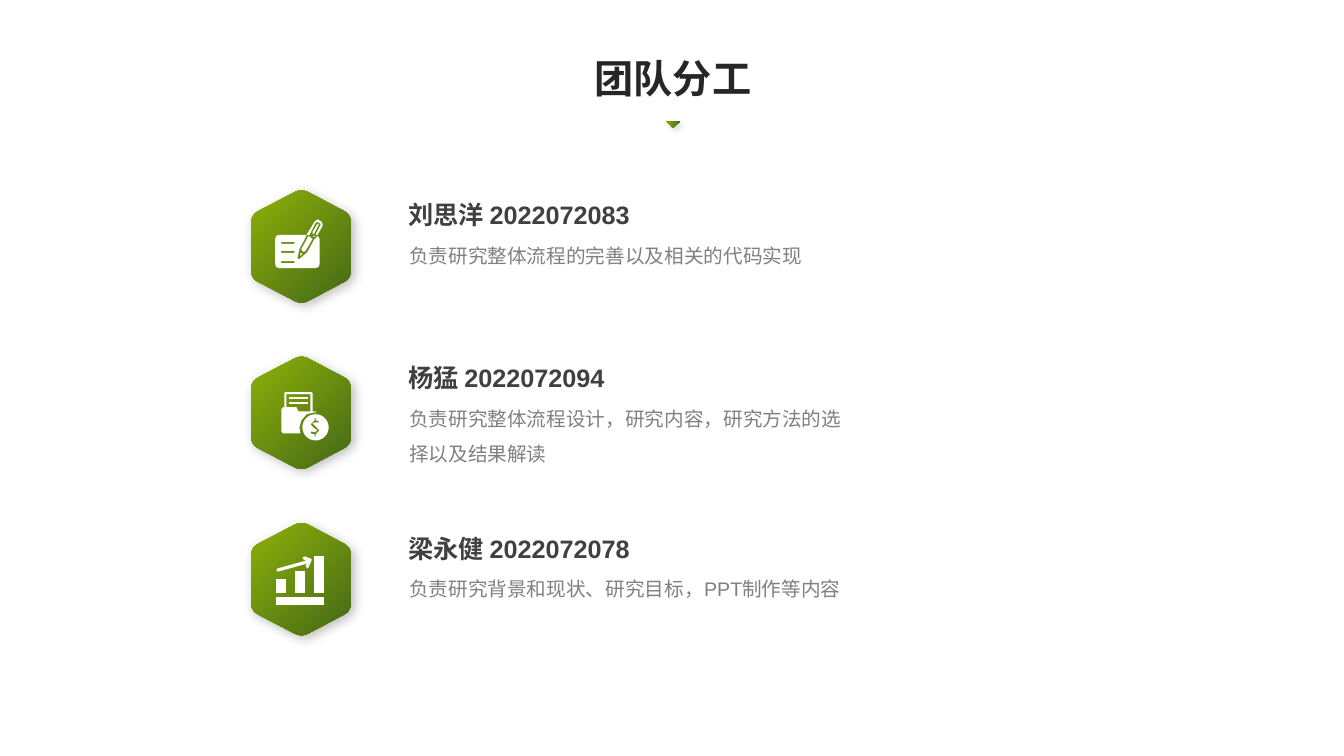
from dataclasses import dataclass
from math import cos, pi, sin

from lxml.etree import SubElement
from pptx import Presentation
from pptx.dml.color import RGBColor
from pptx.enum.shapes import MSO_SHAPE
from pptx.enum.text import MSO_ANCHOR, MSO_AUTO_SIZE, PP_ALIGN
from pptx.oxml.ns import qn
from pptx.util import Emu, Pt

EMU_PER_PX = 9144


@dataclass(frozen=True)
class Theme:
    font: str = "Arial"
    heading: str = "262626"
    name: str = "404040"
    duty: str = "808080"
    icon: str = "FFFFFF"
    leaf: str = "8DB108"
    forest: str = "456818"
    heading_size: int = 28
    name_size: int = 18
    duty_size: int = 14


THEME = Theme()

PAPER = [(66, 45), (63, 49), (63, 48), (56, 61), (55, 62), (48, 68), (47, 68),
         (46, 67), (48, 59), (48, 58), (55, 45), (55, 44), (28, 44), (25, 45),
         (24, 48), (24, 73), (25, 76), (28, 77), (64, 77), (67, 76), (68, 73),
         (68, 48)]
PENCIL_END = [(71, 33), (70, 31), (67, 29), (65, 29), (63, 31), (55, 44), (58, 44),
              (64, 32), (66, 31), (69, 33), (69, 34), (64, 44), (66, 44), (71, 35)]
PENCIL_SLOT = [(62, 43), (63, 42), (67, 34), (67, 33), (66, 33), (61, 41), (61, 43)]
PENCIL_SHAFT = [(50, 58), (50, 59), (51, 60), (52, 61), (54, 60), (61, 48), (57, 45)]
PENCIL_NIB = [(49, 62), (49, 65), (51, 63), (50, 62)]
PENCIL_BAND = [(61, 45), (63, 46), (64, 45)]
FOLDER = [(63, 55), (64, 56), (64, 54), (61, 54), (61, 36), (60, 35), (34, 35),
          (33, 36), (33, 50), (32, 50), (30, 52), (30, 74), (32, 76), (49, 76),
          (48, 70), (50, 63), (55, 57)]
FOLDER_SHEET = [(46, 52), (45, 50), (35, 50), (35, 37), (59, 37), (59, 54), (47, 54)]
DOLLAR = [(64, 77), (64, 79), (63, 79), (63, 77), (59, 76), (60, 74), (63, 75),
          (66, 73), (63, 71), (59, 67), (63, 63), (63, 61), (64, 61), (64, 63),
          (67, 64), (67, 65), (64, 65), (61, 66), (64, 69), (68, 73)]
TREND_ARROW = [(27, 48), (56, 40), (54, 42), (55, 44), (56, 45), (57, 44), (60, 37),
               (60, 36), (59, 35), (53, 33), (51, 34), (52, 36), (55, 37), (26, 45),
               (25, 47)]
HEXAGON = [(50, -2), (99, 24), (99, 87), (50, 113), (0, 87), (0, 24)]


def px(length):
    return Emu(round(length * EMU_PER_PX))


def box_px(left, top, width, height):
    return px(left), px(top), px(width), px(height)


def rectangle(left, top, width, height):
    right, bottom = left + width, top + height
    return [(left, top), (right, top), (right, bottom), (left, bottom)]


def circle(center_x, center_y, radius, steps=48):
    turns = [2 * pi * step / steps for step in range(steps)]
    return [(center_x + radius * cos(a), center_y + radius * sin(a)) for a in turns]


def round_corners(corners, reach, steps=8):
    def toward(start, end):
        dx, dy = end[0] - start[0], end[1] - start[1]
        share = reach / (dx * dx + dy * dy) ** 0.5
        return start[0] + dx * share, start[1] + dy * share

    points = []
    for index, corner in enumerate(corners):
        entry = toward(corner, corners[index - 1])
        leave = toward(corner, corners[(index + 1) % len(corners)])
        for t in (step / steps for step in range(steps + 1)):
            points.append(tuple((1 - t) ** 2 * a + 2 * t * (1 - t) * b + t * t * c
                                for a, b, c in zip(entry, corner, leave)))
    return points


def outline(shapes, left, top, *contours):
    moved = [[(px(left + x), px(top + y)) for x, y in contour] for contour in contours]
    builder = shapes.build_freeform(*moved[0][0], scale=1.0)
    for index, contour in enumerate(moved):
        if index:
            builder.move_to(*contour[0])
        builder.add_line_segments(contour[1:], close=True)
    shape = builder.convert_to_shape()
    shape.shadow.inherit = False
    shape.line.fill.background()
    return shape


def paint_green(shape, angle, opacity, blur):
    shape.fill.gradient()
    shape.fill.gradient_angle = angle
    for stop, color, position in zip(shape.fill.gradient_stops,
                                     (THEME.leaf, THEME.forest), (0, 1)):
        stop.color.rgb = RGBColor.from_string(color)
        stop.position = position
    shape.line.fill.background()
    shape.shadow.inherit = False
    effects = shape._element.spPr.find(qn("a:effectLst"))
    shadow = SubElement(effects, qn("a:outerShdw"), blurRad=str(Pt(blur)),
                        dist=str(Pt(3)), dir="2700000", algn="tl", rotWithShape="0")
    black = SubElement(shadow, qn("a:srgbClr"), val="000000")
    SubElement(black, qn("a:alpha"), val=str(opacity * 1000))


def write(frame, text, size, color, bold=False):
    frame.text = text
    font = frame.paragraphs[0].runs[0].font
    font.name, font.size, font.bold = THEME.font, Pt(size), bold
    font.color.rgb = RGBColor.from_string(color)


def add_heading(slide, text, left, top, width, height):
    heading = slide.shapes.title
    heading.left, heading.top, heading.width, heading.height = box_px(
        left, top, width, height)
    frame = heading.text_frame
    write(frame, text, THEME.heading_size, THEME.heading, True)
    frame.word_wrap = False
    frame.auto_size = MSO_AUTO_SIZE.SHAPE_TO_FIT_TEXT
    frame.vertical_anchor = MSO_ANCHOR.TOP
    frame.paragraphs[0].alignment = PP_ALIGN.CENTER
    pointer = slide.shapes.add_shape(
        MSO_SHAPE.ISOSCELES_TRIANGLE, *box_px(left + 81, top + 71, 15, 7))
    pointer._element.spPr.xfrm.set("flipV", "1")
    paint_green(pointer, 0, 15, 4)


def add_icon(slide, parts, left, top):
    icon = slide.shapes.add_group_shape()
    for contours in parts:
        part = outline(icon.shapes, left, top, *contours)
        part.fill.solid()
        part.fill.fore_color.rgb = RGBColor.from_string(THEME.icon)


def add_member(slide, name, duty, parts, text_drop, duty_height, left, top):
    badge = outline(slide.shapes, left, top, round_corners(HEXAGON, 8))
    paint_green(badge, 315, 25, 8)
    add_icon(slide, parts, left, top)
    name_top = top + text_drop
    lines = (
        (name, (left + 146, name_top, 281, 40), THEME.name_size, THEME.name, True, 1.0),
        (duty, (left + 147, name_top + 32, 449, duty_height), THEME.duty_size,
         THEME.duty, False, 1.5),
    )
    for text, box, size, color, bold, spacing in lines:
        frame = slide.shapes.add_textbox(*box_px(*box)).text_frame
        frame.word_wrap = True
        frame.auto_size = MSO_AUTO_SIZE.SHAPE_TO_FIT_TEXT
        write(frame, text, size, color, bold)
        frame.paragraphs[0].line_spacing = spacing


def main():
    deck = Presentation()
    deck.slide_width, deck.slide_height = px(1333), px(750)
    slide = deck.slides.add_slide(deck.slide_layouts[5])
    add_heading(slide, "团队分工", 579, 49, 177, 57)

    note_lines = [rectangle(30, y, 13, 2) for y in (51, 60, 70)]
    writing = [[PENCIL_END], [PENCIL_SLOT], [PENCIL_SHAFT], [PENCIL_NIB],
               [PAPER, *note_lines], [PENCIL_BAND]]
    funding = [[rectangle(38, y, 18, 2)] for y in (40, 45)]
    funding += [[FOLDER, FOLDER_SHEET], [circle(64, 70, 13), DOLLAR]]
    bars = ((25, 14), (44, 22), (62, 36))
    growth = [[rectangle(x, 69 - height, 10, height)] for x, height in bars]
    growth += [[rectangle(25, 73, 47, 8)], [TREND_ARROW]]

    members = (
        ("刘思洋 2022072083", "负责研究整体流程的完善以及相关的代码实现", writing, 4, 41),
        ("杨猛 2022072094", "负责研究整体流程设计，研究内容，研究方法的选择以及结果解读",
         funding, 1, 77),
        ("梁永健 2022072078", "负责研究背景和现状、研究目标，PPT制作等内容", growth, 5, 41),
    )
    for row, member in enumerate(members):
        add_member(slide, *member, left=249, top=189 + 165 * row)
    deck.save("out.pptx")


if __name__ == "__main__":
    main()
